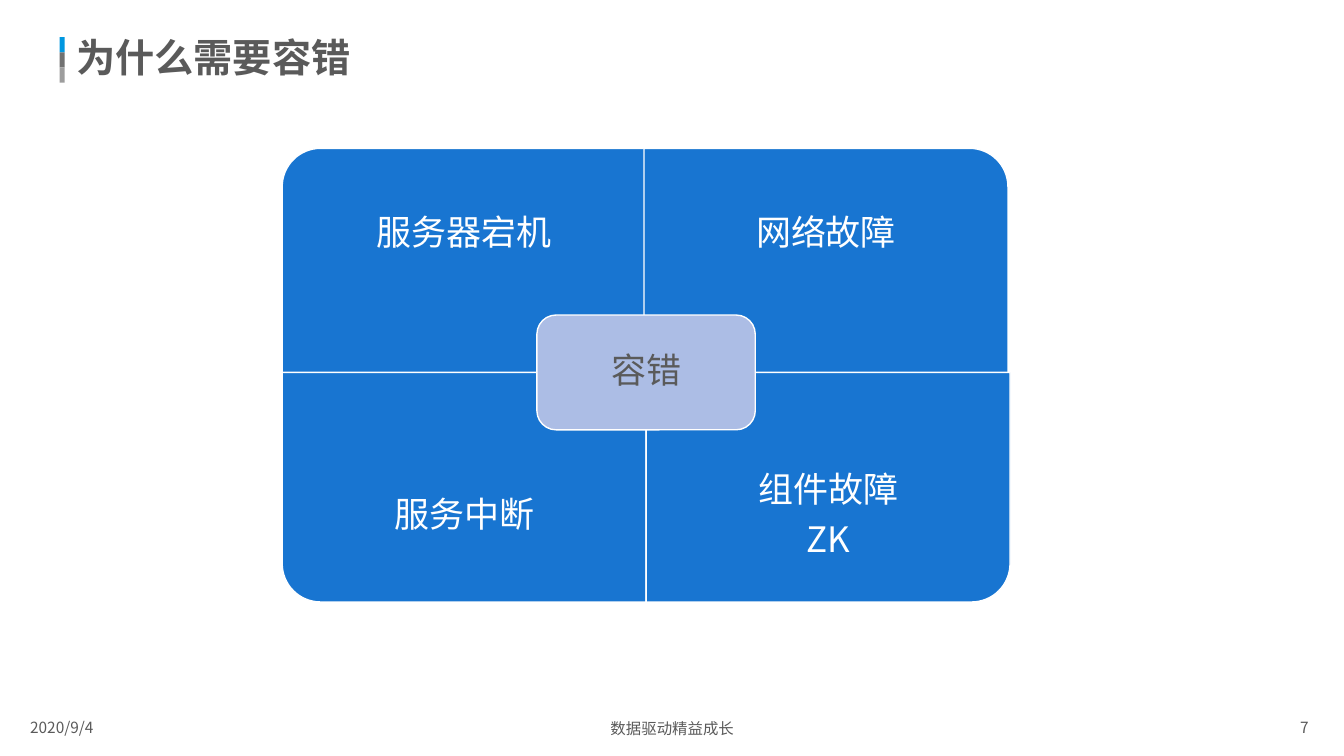
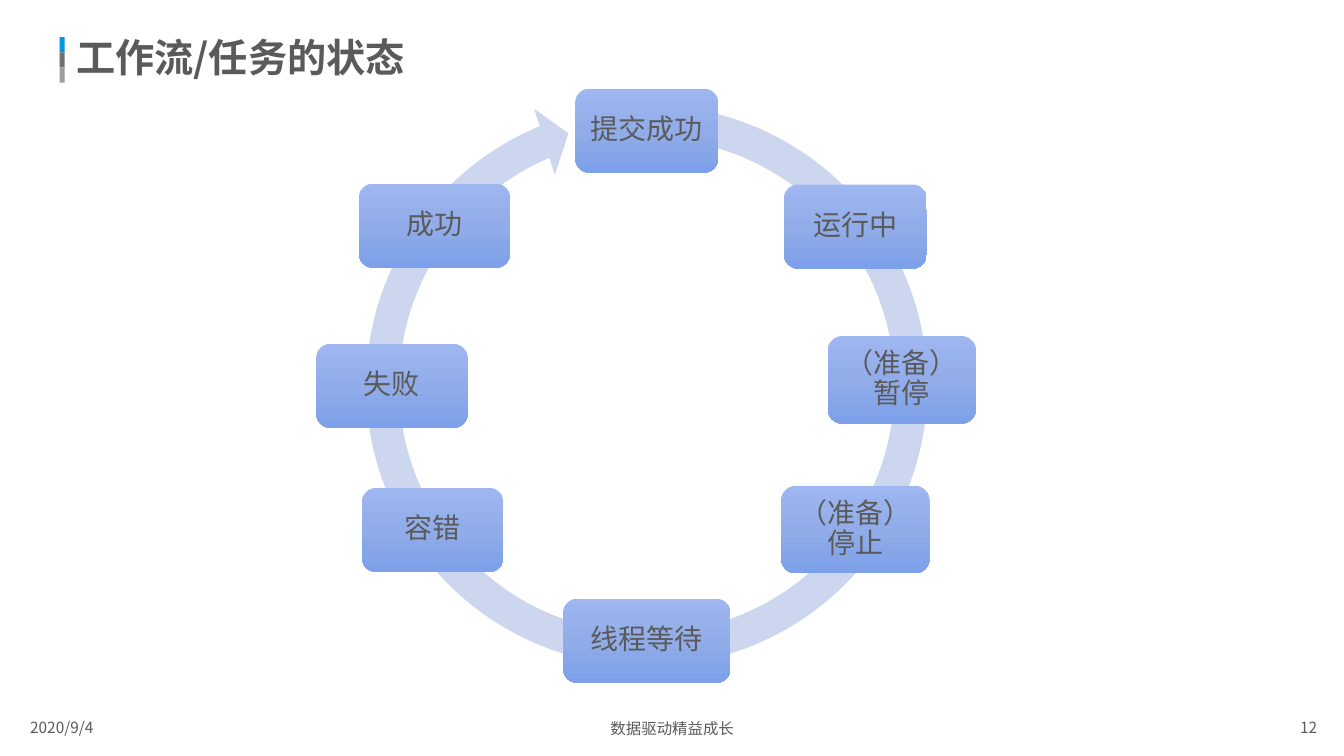
from copy import deepcopy
from math import cos, pi, sin

from lxml import etree
from pptx import Presentation
from pptx.dml.color import RGBColor as RGB
from pptx.enum.shapes import MSO_SHAPE as Shape
from pptx.enum.text import MSO_ANCHOR as Anchor, PP_ALIGN as Align
from pptx.oxml.ns import qn
from pptx.util import Pt

FONT = "Noto Sans CJK SC"
HEX = {
    "text": "5A5A5A", "white": "FFFFFF",
    "sky": "0097E0", "gray": "717171", "pale": "9D9D9D",
    "blue": "1875D1", "core": "ACBDE5", "ring": "CCD6EE",
    "top": "9EB7F1", "mid": "91ACE8", "low": "7CA0EA",
}


def write(shape, text, size, color="text", bold=False, align=Align.LEFT,
          pads=(7.2, 3.6, 7.2, 3.6), lead=None, after=0):
    """Fill a shape with text, one paragraph per line; pads run l, t, r, b."""
    frame = shape.text_frame
    frame.word_wrap = True
    frame.vertical_anchor = Anchor.MIDDLE
    (frame.margin_left, frame.margin_top,
     frame.margin_right, frame.margin_bottom) = map(Pt, pads)
    for i, line in enumerate(text.split("\n")):
        para = frame.add_paragraph() if i else frame.paragraphs[0]
        para.alignment = align
        para.line_spacing = lead
        para.space_after = Pt(after)
        run = para.add_run()
        run.text = line
        font = run.font
        font.size, font.bold, font.name = Pt(size), bold, FONT
        font.color.rgb = RGB.from_string(HEX[color])
        etree.SubElement(font._element, qn("a:ea"), typeface=FONT)


def paint(shape, fill, line=None):
    """Set a flat fill and an optional 1 pt outline."""
    shape.shadow.inherit = False
    shape.fill.solid()
    shape.fill.fore_color.rgb = RGB.from_string(HEX[fill])
    if line:
        shape.line.color.rgb = RGB.from_string(HEX[line])
        shape.line.width = Pt(1)
    else:
        shape.line.fill.background()


deck = Presentation()
deck.slide_width, deck.slide_height = Pt(960), Pt(540)

# Shared frame: title, title mark, footer
pages = []
for title, num in (("为什么需要容错", "7"), ("工作流/任务的状态", "12")):
    shapes = deck.slides.add_slide(deck.slide_layouts[6]).shapes
    pages.append(shapes)
    for i, tone in enumerate(("sky", "gray", "pale")):
        mark = shapes.add_shape(Shape.RECTANGLE, Pt(42.6), Pt(26.6 + i * 10.8),
                                Pt(3.6), Pt(10.8))
        paint(mark, tone)
    for text, x, y, w, h, style in (
        (title, 47.5, 26, 828, 34, dict(size=28, bold=True, lead=0.9)),
        ("2020/9/4", 14.4, 509, 109, 21.6, dict(size=11)),
        (num, 921.6, 509, 48, 21, dict(size=11)),
        ("数据驱动精益成长", 306.7, 509.8, 347, 21,
         dict(size=11, align=Align.CENTER)),
    ):
        box = shapes.add_textbox(Pt(x), Pt(y), Pt(w), Pt(h))
        write(box, text, **style)

# Slide 1: four quadrants, each rounded at its outer corner
shapes = pages[0]
W, H, R, STEPS = 260, 164, 27.4, 16
arc = [(R - R * cos(t), R - R * sin(t))
       for t in (pi / 2 * k / STEPS for k in range(STEPS + 1))]
edge = [(0, H), *arc, (W, 0), (W, H)]
body = dict(size=25, align=Align.CENTER, lead=0.9, after=8.75)
for text, x, y, right, low in (
    ("服务器宕机", 201.6, 106, False, False),
    ("网络故障", 460, 106, True, False),
    ("服务中断", 201.6, 266, False, True),
    ("组件故障\nZK", 461.5, 266, True, True),
):
    pts = [(Pt(x + (W - px if right else px)), Pt(y + (H - py if low else py)))
           for px, py in edge]
    path = shapes.build_freeform(*pts[0])
    path.add_line_segments(pts[1:], close=True)
    quad = path.convert_to_shape()
    paint(quad, "blue", "white")
    pads = (13.7, 54.7, 13.7, 13.7) if low else (13.7, 13.7, 13.7, 54.7)
    write(quad, text, color="white", pads=pads, **body)

core = shapes.add_shape(Shape.ROUNDED_RECTANGLE, Pt(383.5), Pt(225),
                        Pt(156), Pt(82))
paint(core, "core", "white")
write(core, "容错", **body)

# Slide 2: ring arrow behind the states
shapes = pages[1]
ring = shapes.add_shape(Shape.CIRCULAR_ARROW, Pt(248.5), Pt(62),
                        Pt(427), Pt(427))
for i, val in enumerate((0.055, 3.307, 148.343, 167.699, 0.058)):
    ring.adjustments[i] = val
paint(ring, "ring")

# States, clockwise from the top
for text, x, y, w, h in (
    ("提交成功", 411, 63.3, 102, 60),
    ("运行中", 560, 131.8, 102, 60),
    ("（准备）暂停", 591.2, 240, 106, 62.6),
    ("（准备）停止", 558, 347, 106, 62.6),
    ("线程等待", 402.3, 427.7, 119.5, 60),
    ("容错", 258.6, 348.5, 101, 60),
    ("失败", 226, 245.6, 108, 60),
    ("成功", 256.4, 131.2, 108, 60),
):
    state = shapes.add_shape(Shape.ROUNDED_RECTANGLE, Pt(x), Pt(y), Pt(w), Pt(h))
    paint(state, "mid")
    state.fill.gradient()
    state.fill.gradient_angle = 270
    stops = state._element.spPr.find(".//" + qn("a:gsLst"))
    stops.insert(1, deepcopy(stops[0]))
    for stop, pos, tone in zip(state.fill.gradient_stops, (0, 0.5, 1),
                               ("top", "mid", "low")):
        stop.position = pos
        stop.color.rgb = RGB.from_string(HEX[tone])
    write(state, text, 20, align=Align.CENTER, pads=(6, 6, 6, 6),
          lead=0.9, after=7)

deck.save("out.pptx")
